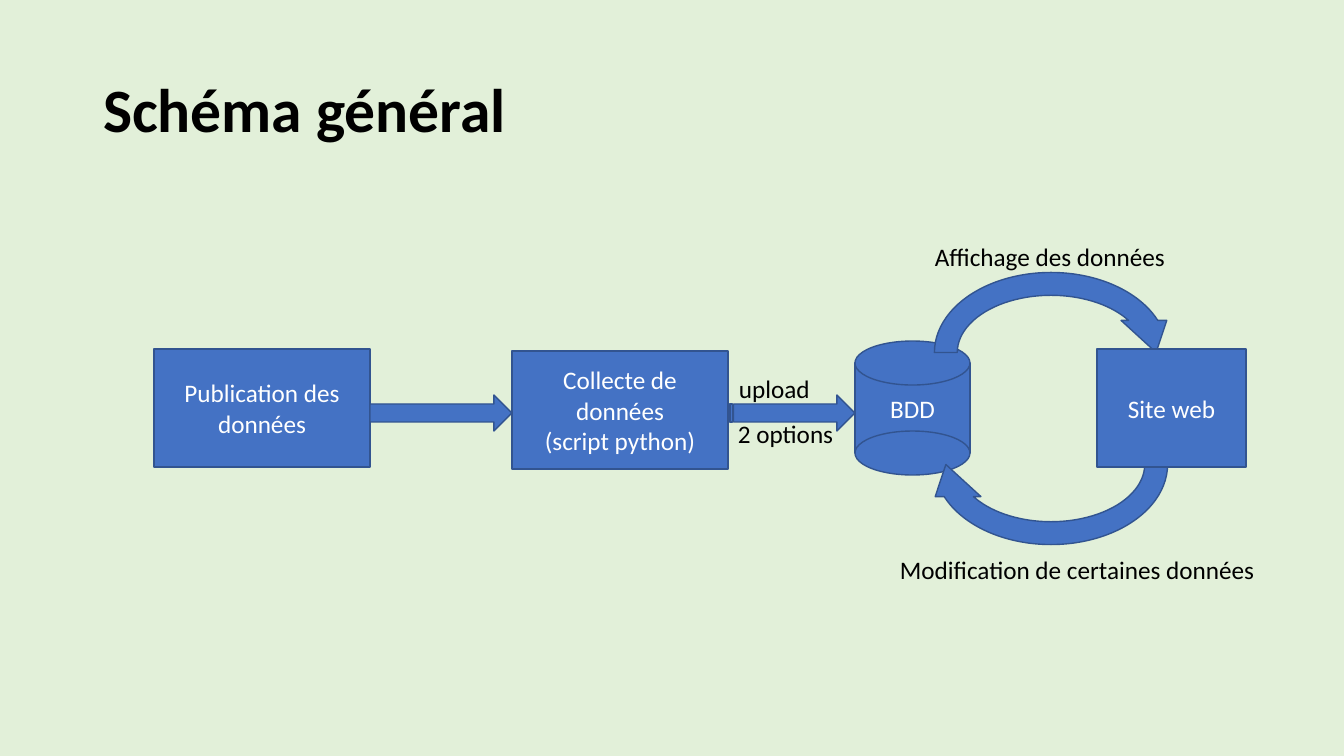
"""Builds the general data-flow diagram slide."""
from pptx import Presentation
from pptx.dml.color import RGBColor
from pptx.enum.shapes import MSO_SHAPE
from pptx.enum.text import MSO_ANCHOR, MSO_AUTO_SIZE, PP_ALIGN
from pptx.util import Emu, Pt

SLIDE = (1344, 756)
EMU_PER_PX = 12192000 / 1344
FONT = "Calibri"
COLORS = {"background": "E2F0D9", "fill": "4472C4", "line": "325490",
          "light": "FFFFFF", "dark": "000000"}

TITLE = ("Schéma général", (93, 40, 1159, 146))
CURVE = (0.125, 11.42319, 204.57681, 108, 0.125)
DATABASE = ("BDD", (855, 341, 115, 134))
CAP_HEIGHT = 44
CURVED_ARROWS = [((923, 261, 256, 183), 0), ((923, 373, 256, 183), 180)]
PROCESSES = [
    (["Publication des données"], (154, 349, 216, 118)),
    (["Collecte de données", "(script python)"], (512, 351, 216, 118)),
    (["Site web"], (1097, 349, 149, 118)),
]
STRAIGHT_ARROWS = [
    (MSO_SHAPE.RIGHT_ARROW, (370, 395, 142, 36)),
    (MSO_SHAPE.STRIPED_RIGHT_ARROW, (728, 395, 127, 36)),
]
LABELS = [
    ("Affichage des données", (925, 236, 254, 40)),
    ("Modification de certaines données", (890, 549, 379, 40)),
    ("upload", (729, 368, 92, 40)),
    ("2 options", (728, 413, 117, 40)),
]


def px(value):
    return Emu(round(value * EMU_PER_PX))


def color(name):
    return RGBColor.from_string(COLORS[name])


def write(frame, lines, size, color_name, align, bold=False):
    for index, line in enumerate(lines):
        para = frame.add_paragraph() if index else frame.paragraphs[0]
        para.text = line
        para.alignment = align
        para.font.name = FONT
        para.font.size = Pt(size)
        para.font.bold = bold
        para.font.color.rgb = color(color_name)


def add_block(shapes, kind, place, lines=()):
    block = shapes.add_shape(kind, *map(px, place))
    block.shadow.inherit = False
    block.fill.solid()
    block.fill.fore_color.rgb = color("fill")
    block.line.color.rgb = color("line")
    block.line.width = Pt(1)
    block.text_frame.vertical_anchor = MSO_ANCHOR.MIDDLE
    write(block.text_frame, lines, 18, "light", PP_ALIGN.CENTER)
    return block


def add_database(shapes, name, place):
    left, top, width, height = place
    group = shapes.add_group_shape()
    body = (left, top + CAP_HEIGHT // 2, width, height - CAP_HEIGHT)
    add_block(group.shapes, MSO_SHAPE.RECTANGLE, body, [name])
    for cap_top in (top, top + height - CAP_HEIGHT):
        add_block(group.shapes, MSO_SHAPE.OVAL, (left, cap_top, width, CAP_HEIGHT))


def add_label(shapes, text, place):
    frame = shapes.add_textbox(*map(px, place)).text_frame
    frame.word_wrap = False
    frame.auto_size = MSO_AUTO_SIZE.SHAPE_TO_FIT_TEXT
    write(frame, [text], 18, "dark", PP_ALIGN.LEFT)


def set_title(title, text, place):
    title.left, title.top, title.width, title.height = map(px, place)
    frame = title.text_frame
    frame.auto_size = MSO_AUTO_SIZE.NONE
    frame.vertical_anchor = MSO_ANCHOR.MIDDLE
    write(frame, [text], 44, "dark", PP_ALIGN.LEFT, bold=True)
    frame.paragraphs[0].line_spacing = 0.9


def main():
    deck = Presentation()
    deck.slide_width, deck.slide_height = map(px, SLIDE)
    page = deck.slides.add_slide(deck.slide_layouts[5])
    page.background.fill.solid()
    page.background.fill.fore_color.rgb = color("background")
    shapes = page.shapes

    set_title(shapes.title, *TITLE)
    add_database(shapes, *DATABASE)
    for place, rotation in CURVED_ARROWS:
        arrow = add_block(shapes, MSO_SHAPE.CIRCULAR_ARROW, place)
        arrow.rotation = rotation
        for index, value in enumerate(CURVE):
            arrow.adjustments[index] = value
    for lines, place in PROCESSES:
        add_block(shapes, MSO_SHAPE.RECTANGLE, place, lines)
    for kind, place in STRAIGHT_ARROWS:
        add_block(shapes, kind, place)
    for text, place in LABELS:
        add_label(shapes, text, place)

    deck.save("out.pptx")


if __name__ == "__main__":
    main()
